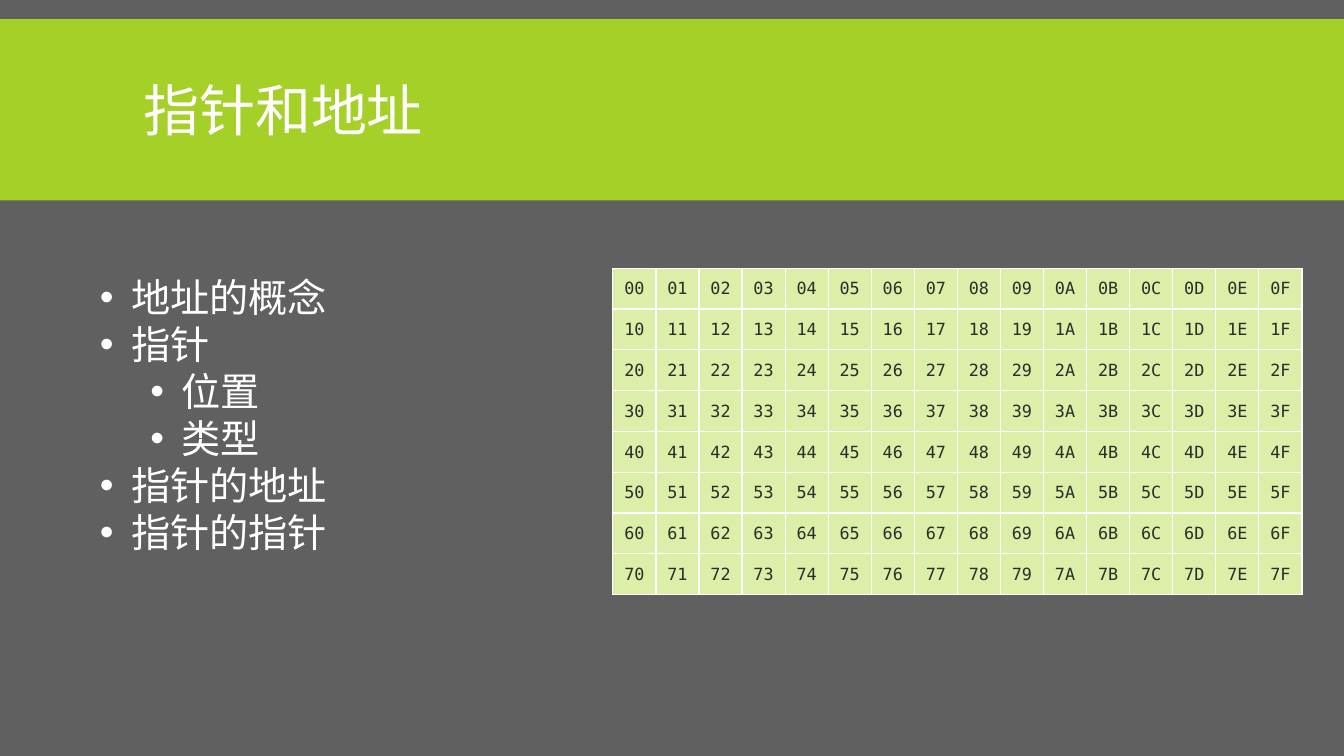
from dataclasses import dataclass

from lxml.etree import SubElement
from pptx import Presentation
from pptx.dml.color import RGBColor as Rgb
from pptx.enum.shapes import MSO_SHAPE as Preset
from pptx.enum.text import MSO_ANCHOR as Anchor, MSO_AUTO_SIZE as AutoSize, PP_ALIGN as Align
from pptx.oxml.ns import qn
from pptx.util import Inches, Pt


@dataclass(frozen=True)
class Theme:
    """Colours, fonts and type sizes of the slide."""
    ground: str = "606060"
    band: str = "A5D028"
    light: str = "FFFFFF"
    cell: str = "DCEEA7"
    ink: str = "2C2C2C"
    title_font: str = "Lato"
    list_font: str = "Arial"
    byte_font: str = "DejaVu Sans Mono"
    title_size: int = 40
    list_size: int = 28
    byte_size: int = 12


class SlideBuilder:
    """Holds the theme and the current slide; places are percent of the slide."""

    def __init__(self, deck, theme):
        """Open a title-and-content slide on the theme's ground colour."""
        self.deck, self.theme = deck, theme
        self.slide = deck.slides.add_slide(deck.slide_layouts[1])
        ground = self.slide.background.fill
        ground.solid()
        ground.fore_color.rgb = Rgb.from_string(theme.ground)

    def area(self, left, top, width, height):
        """Turn percentages into slide lengths."""
        across, down = self.deck.slide_width / 100, self.deck.slide_height / 100
        return [round(n) for n in (left * across, top * down, width * across, height * down)]

    def move(self, holder, place):
        """Put a placeholder at a place."""
        holder.left, holder.top, holder.width, holder.height = self.area(*place)

    def add_words(self, paragraph, words, font, size, colour):
        """Add one formatted run to a paragraph."""
        run = paragraph.add_run()
        run.text = words
        run.font.name, run.font.size = font, Pt(size)
        run.font.color.rgb = Rgb.from_string(colour)

    def band(self, place):
        """Draw the title band behind everything else."""
        band = self.slide.shapes.add_shape(Preset.RECTANGLE, *self.area(*place))
        band.shadow.inherit = False
        band.fill.solid()
        band.fill.fore_color.rgb = Rgb.from_string(self.theme.band)
        band.line.fill.background()
        band.element.getparent().insert(2, band.element)

    def title(self, words, place):
        """Fill the title placeholder."""
        heading = self.slide.shapes.title
        self.move(heading, place)
        frame = heading.text_frame
        frame.vertical_anchor, frame.auto_size = Anchor.MIDDLE, AutoSize.NONE
        line = frame.paragraphs[0]
        line.alignment, line.line_spacing = Align.LEFT, 0.85
        self.add_words(line, words, self.theme.title_font, self.theme.title_size, self.theme.light)

    def topics(self, entries, place):
        """Fill the body placeholder with (level, words) bullets."""
        body = self.slide.placeholders[1]
        self.move(body, place)
        frame = body.text_frame
        frame.auto_size = AutoSize.SHAPE_TO_FIT_TEXT
        for index, (level, words) in enumerate(entries):
            topic = frame.add_paragraph() if index else frame.paragraphs[0]
            topic.level, topic.space_before, topic.line_spacing = level, Pt(0), 1.0
            props = topic._p.get_or_add_pPr()
            props.set("marL", str(Inches(0.31 + 0.5 * level)))
            props.set("indent", str(Inches(-0.31)))
            SubElement(props, qn("a:buFont"), typeface=self.theme.list_font)
            SubElement(props, qn("a:buChar"), char="•")
            self.add_words(topic, words, self.theme.list_font, self.theme.list_size, self.theme.light)

    def byte_cell(self, cell, address):
        """Format one memory cell and show its address."""
        props = cell._tc.get_or_add_tcPr()
        for side in ("lnL", "lnR", "lnT", "lnB"):
            border = SubElement(props, qn(f"a:{side}"), w=str(Pt(1)))
            SubElement(SubElement(border, qn("a:solidFill")), qn("a:srgbClr"), val=self.theme.light)
        cell.fill.solid()
        cell.fill.fore_color.rgb = Rgb.from_string(self.theme.cell)
        cell.margin_left = cell.margin_top = cell.margin_right = Inches(0.01)
        cell.margin_bottom = 0
        cell.vertical_anchor = Anchor.MIDDLE
        line = cell.text_frame.paragraphs[0]
        line.alignment = Align.CENTER
        self.add_words(line, f"{address:02X}", self.theme.byte_font, self.theme.byte_size, self.theme.ink)

    def memory(self, rows, columns, place):
        """Draw a table of consecutive hexadecimal addresses."""
        left, top, width, height = self.area(*place)
        table = self.slide.shapes.add_table(rows, columns, left, top, width, height).table
        table.first_row = table.horz_banding = False
        for column in table.columns:
            column.width = width // columns
        for row in table.rows:
            row.height = height // rows
        for address, cell in enumerate(table.iter_cells()):
            self.byte_cell(cell, address)


def main():
    """Build and save the slide on pointers and addresses."""
    deck = Presentation()
    deck.slide_width, deck.slide_height = Inches(13.33), Inches(7.5)
    page = SlideBuilder(deck, Theme())
    page.band((0, 2.53, 100, 24))
    page.title("指针和地址", (9.9, 4.13, 80.27, 22))
    page.memory(8, 16, (45.6, 35.47, 51.3, 43.2))
    page.topics([
        (0, "地址的概念"),
        (0, "指针"),
        (1, "位置"),
        (1, "类型"),
        (0, "指针的地址"),
        (0, "指针的指针"),
    ], (6.68, 35.47, 26.18, 39.07))
    deck.save("out.pptx")


main()
